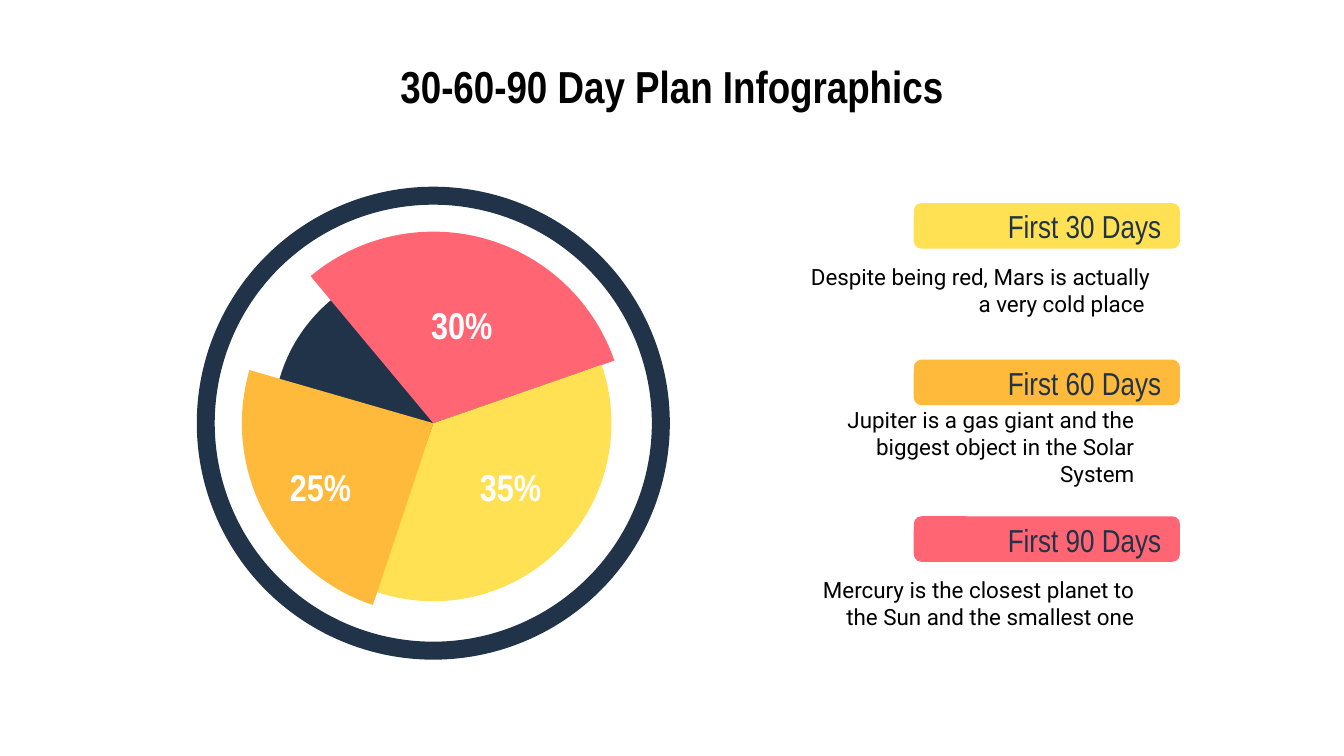
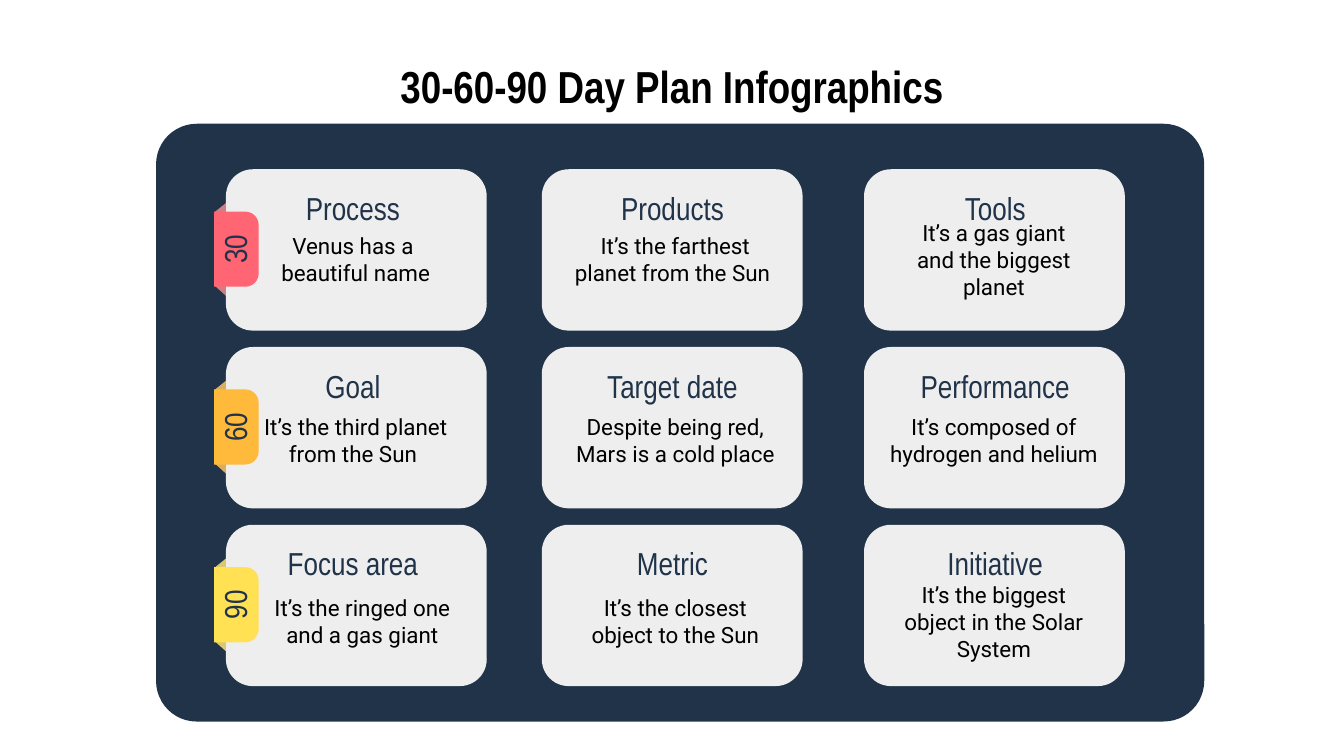
from lxml import etree
from pptx import Presentation
from pptx.dml.color import RGBColor
from pptx.enum.shapes import MSO_SHAPE
from pptx.enum.text import MSO_ANCHOR, PP_ALIGN
from pptx.oxml.ns import qn
from pptx.util import Cm, Pt

ROUND, OVAL = MSO_SHAPE.ROUNDED_RECTANGLE, MSO_SHAPE.OVAL
DONUT, PIE = MSO_SHAPE.DONUT, MSO_SHAPE.PIE
TAB = MSO_SHAPE.ROUND_2_SAME_RECTANGLE
LEFT, MID, RIGHT = PP_ALIGN.LEFT, PP_ALIGN.CENTER, PP_ALIGN.RIGHT
TOP, CENTER = MSO_ANCHOR.TOP, MSO_ANCHOR.MIDDLE

NAVY = RGBColor(0x20, 0x33, 0x49)
PINK = RGBColor(0xFF, 0x65, 0x73)
YELLOW = RGBColor(0xFF, 0xE1, 0x53)
ORANGE = RGBColor(0xFF, 0xB9, 0x3B)
PALE = RGBColor(0xEE, 0xEE, 0xEE)
GREY = RGBColor(0x9B, 0x9B, 0x9B)
BLACK = RGBColor(0, 0, 0)
WHITE = RGBColor(0xFF, 0xFF, 0xFF)

# Text styles: font, size, colour, bold
TITLE = ("Arial Narrow", 24, BLACK, True)
SHARE = ("Arial Narrow", 20, WHITE, True)
HEAD = ("Arial Narrow", 17, NAVY, False)
BODY = ("Roboto", 12, BLACK, False)
INSET = 0.25

# Content
NAME = "30-60-90 Day Plan Infographics"

HUB = (8.19, 8.0)
SLICES = [  # colour, diameter, rotation, start and end angle
    (PINK, 7.24, 33.2, 196.95, 307.73),
    (YELLOW, 6.73, 105, 235.88, 4.35),
    (ORANGE, 7.24, 155.2, 313.23, 40.93),
]
SHARES = [("30%", 7.67, 5.36), ("35%", 8.59, 8.41), ("25%", 5.0, 8.41)]
STAGES = [  # heading, colour, text, left and right inset
    ("First 30 Days", YELLOW,
     "Despite being red, Mars is actually a very cold place ", 0.25, 0.46),
    ("First 60 Days", ORANGE,
     "Jupiter is a gas giant and the biggest object in the Solar System",
     0.76, 0.76),
    ("First 90 Days", PINK,
     "Mercury is the closest planet to the Sun and the smallest one",
     0.76, 0.76),
]

ROWS = [  # tab label, colour, fold opacity in percent, cards
    ("30", PINK, 55, [
        ("Process", "Venus has a \nbeautiful name"),
        ("Products", "It’s the farthest planet from the Sun "),
        ("Tools", "It’s a gas giant\vand the biggest planet")]),
    ("60", ORANGE, 65, [
        ("Goal", "It’s the third planet from the Sun "),
        ("Target date", "Despite being red,\vMars is a cold place"),
        ("Performance", "It’s composed of hydrogen and helium")]),
    ("90", YELLOW, 65, [
        ("Focus area", "It’s the ringed one and a gas giant"),
        ("Metric", "It’s the closest object to the Sun"),
        ("Initiative", "It’s the biggest object in the Solar System")]),
]
COLS = [(4.27, 4.27, 4.5), (10.24, 10.31, 10.54), (16.33, 16.41, 16.56)]
FOLDS = [  # corners: x on the slide, y from the card top
    [(4.06, 2.2), (4.27, 2.39), (4.27, 2.16)],
    [(4.06, 0.81), (4.27, 0.86), (4.27, 0.64)],
]


def paint(shape, fill):
    shape.shadow.inherit = False
    shape.line.fill.background()
    if fill is None:
        shape.fill.background()
    else:
        shape.fill.solid()
        shape.fill.fore_color.rgb = fill
    return shape


def draw(shapes, kind, x, y, w, h, fill, adj=()):
    shape = shapes.add_shape(kind, Cm(x), Cm(y), Cm(w), Cm(h))
    for i, value in enumerate(adj):
        shape.adjustments[i] = value
    return paint(shape, fill)


def disc(shapes, kind, size, fill, adj=()):
    """Draw a round shape centred on the hub."""
    x, y = HUB
    return draw(shapes, kind, x - size / 2, y - size / 2, size, size, fill, adj)


def write(shape, text, style, align, anchor=CENTER, left=INSET, right=INSET):
    frame = shape.text_frame
    frame.word_wrap = True
    frame.vertical_anchor = anchor
    frame.margin_left, frame.margin_right = Cm(left), Cm(right)
    frame.margin_top = frame.margin_bottom = Cm(INSET)
    frame.text = text
    face, size, color, bold = style
    for par in frame.paragraphs:
        par.alignment = align
        for run in par.runs:
            run.font.name = face
            run.font.size = Pt(size)
            run.font.color.rgb = color
            run.font.bold = bold


def label(shapes, x, y, w, h, *args, **more):
    box = shapes.add_textbox(Cm(x), Cm(y), Cm(w), Cm(h))
    write(box, *args, **more)


def title(shapes):
    label(shapes, 0.5, 0.86, 24.4, 1.6, NAME, TITLE, MID, TOP)


def fold(shapes, points, top, fill, alpha=None):
    spots = [(Cm(x), Cm(top + y)) for x, y in points]
    path = shapes.build_freeform(*spots[0])
    path.add_line_segments(spots[1:], close=True)
    shape = paint(path.convert_to_shape(), fill)
    if alpha:
        color = shape.fill._xPr.find(".//" + qn("a:srgbClr"))
        etree.SubElement(color, qn("a:alpha")).set("val", str(alpha * 1000))


def wheel(shapes):
    title(shapes)

    # Ring, core and slices
    disc(shapes, DONUT, 8.94, NAVY, [0.038])
    disc(shapes, OVAL, 6.05, NAVY)
    for color, size, turn, start, end in SLICES:
        # One degree is 60000 units, and an adjustment of 1 is 100000
        piece = disc(shapes, PIE, size, color, [start * 0.6, end * 0.6])
        piece.rotation = turn
    for text, x, y in SHARES:
        box = draw(shapes, ROUND, x, y, 2.82, 1.57, None, [0.5])
        write(box, text, SHARE, LEFT)

    # Stages on the right
    for i, (head, color, text, left, right) in enumerate(STAGES):
        y = 3.84 + 2.96 * i
        draw(shapes, ROUND, 17.27, y, 5.03, 0.86, color, [0.167])
        label(shapes, 17.4, y - 0.16, 4.8, 1.19, head, HEAD, RIGHT)
        label(shapes, 14.76, y + 0.73, 7.44, 1.83, text, BODY, RIGHT,
              left=left, right=right)


def board(shapes):
    draw(shapes, ROUND, 2.95, 2.34, 19.81, 11.3, NAVY, [0.068])
    title(shapes)
    for i, (mark, color, alpha, cards) in enumerate(ROWS):
        top = 3.2 + 3.36 * i

        # Cards
        for (x, hx, tx), (head, text) in zip(COLS, cards):
            draw(shapes, ROUND, x, top, 4.93, 3.05, PALE, [0.167])
            label(shapes, hx, top + 0.13, 4.8, 1.19, head, HEAD, MID)
            shift = 0.25 if head == "Focus area" else 0
            label(shapes, tx, 4.17 + 3.42 * i, 4.45, 1.47, text, BODY, MID,
                  left=INSET + shift)

        # Folded tab
        group = shapes.add_group_shape().shapes
        for points in FOLDS:
            fold(group, points, top, GREY)
        tab = draw(group, TAB, 3.76, top + 1.09, 1.42, 0.84, color, [0, 0.3])
        tab.rotation = 270
        write(tab, mark, HEAD, MID)
        for points in FOLDS:
            fold(group, points, top, color, alpha)


def main():
    deck = Presentation()
    deck.slide_width, deck.slide_height = Cm(25.4), Cm(14.29)
    for build in (wheel, board):
        build(deck.slides.add_slide(deck.slide_layouts[6]).shapes)
    deck.save("out.pptx")


if __name__ == "__main__":
    main()
